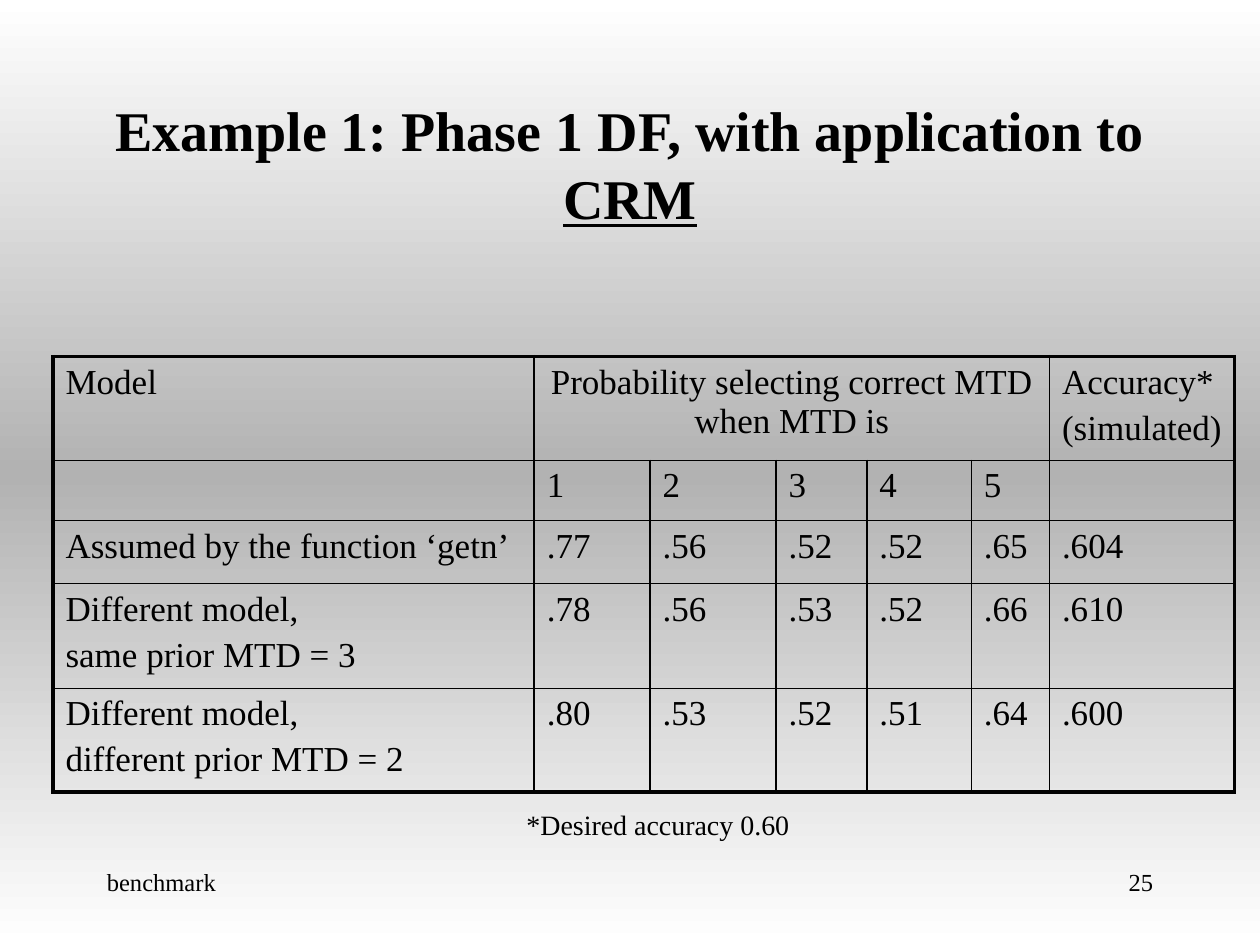
import copy
from lxml import etree
from pptx import Presentation, util as u
from pptx.dml.color import RGBColor
from pptx.enum import text
from pptx.oxml.ns import qn

WIDTH, HEIGHT = 10, 7.5
FONT, BLACK = "Times New Roman", "000000"
LEFT, CENTER, RIGHT = text.PP_ALIGN.LEFT, text.PP_ALIGN.CENTER, text.PP_ALIGN.RIGHT
MIDDLE = text.MSO_ANCHOR.MIDDLE
THIN, THICK = 1, 2.25

COLUMNS = [3.82, 0.92, 1, 0.72, 0.83, 0.62, 1.47]
ROWS = [0.78, 0.48, 0.5, 0.83, 0.77]
CELLS = [
    ["Model", "Probability selecting correct MTD when MTD is", "", "", "", "",
     "Accuracy*\n(simulated)"],
    ["", "1", "2", "3", "4", "5", ""],
    ["Assumed by the function ‘getn’", ".77", ".56", ".52", ".52", ".65", ".604"],
    ["Different model, \nsame prior MTD = 3", ".78", ".56", ".53", ".52", ".66", ".610"],
    ["Different model, \ndifferent prior MTD = 2", ".80", ".53", ".52", ".51", ".64", ".600"],
]


def color(value):
    return RGBColor.from_string(value)


def write(para, words, align=LEFT, **formats):
    para.alignment = align
    span = para.add_run()
    span.text = words
    span.font.color.rgb = color(BLACK)
    for name, value in {"name": FONT, **formats}.items():
        setattr(span.font, name, value)


def text_box(page, box, wrap=True, anchor=text.MSO_ANCHOR.TOP):
    frame = page.shapes.add_textbox(*map(u.Inches, box)).text_frame
    frame.word_wrap = wrap
    frame.vertical_anchor = anchor
    return frame.paragraphs[0]


def background(page, edge, middle):
    fill = page.background.fill
    fill.gradient()
    fill.gradient_angle = 270
    stops = page.element.find(".//" + qn("a:gsLst"))
    stops.insert(1, copy.deepcopy(stops[0]))
    for stop, place, shade in zip(fill.gradient_stops, (0, 0.5, 1), (edge, middle, edge)):
        stop.position = place
        stop.color.rgb = color(shade)


def borders(cell, widths):
    props = cell._tc.get_or_add_tcPr()
    for side, width in widths.items():
        line = etree.SubElement(props, qn("a:ln" + side), w=str(u.Pt(width)))
        fill = etree.SubElement(line, qn("a:solidFill"))
        etree.SubElement(fill, qn("a:srgbClr"), val=BLACK)


def title(page, box):
    para = text_box(page, box, anchor=MIDDLE)
    style = {"size": u.Pt(32), "bold": True}
    write(para, "Example 1: Phase 1 DF, with application to ", CENTER, **style)
    write(para, "CRM", CENTER, underline=True, **style)


def accuracy_table(page, left, top):
    last_row, last_column = len(ROWS) - 1, len(COLUMNS) - 1
    size = map(u.Inches, (left, top, sum(COLUMNS), sum(ROWS)))
    table = page.shapes.add_table(len(ROWS), len(COLUMNS), *size).table
    table.first_row = table.horz_banding = False
    for column, width in zip(table.columns, COLUMNS):
        column.width = u.Inches(width)
    for row, height in zip(table.rows, ROWS):
        row.height = u.Inches(height)
    table.cell(0, 1).merge(table.cell(0, last_column - 1))

    for r, row in enumerate(CELLS):
        for c, words in enumerate(row):
            cell = table.cell(r, c)
            # Thick outer frame, thin inner rules
            outer = {"L": c == 0, "R": c == last_column, "T": r == 0, "B": r == last_row}
            borders(cell, {side: THICK if edge else THIN for side, edge in outer.items()})
            cell.fill.background()
            if not words:
                continue
            for i, line in enumerate(words.split("\n")):
                frame = cell.text_frame
                para = frame.add_paragraph() if i else frame.paragraphs[0]
                para.space_before = u.Pt(4)
                align = CENTER if cell.is_merge_origin else LEFT
                write(para, line, align, size=u.Pt(20))


def footer(page, box, label, number):
    left, top, width, height = box
    part = width * 0.245
    for words, x, align in ((label, left, LEFT), (number, left + width - part, RIGHT)):
        write(text_box(page, (x, top, part, height)), words, align, size=u.Pt(14))


deck = Presentation()
deck.slide_width, deck.slide_height = u.Inches(WIDTH), u.Inches(HEIGHT)
page = deck.slides.add_slide(deck.slide_layouts[6])
margin = WIDTH * 0.075
content = WIDTH - 2 * margin

background(page, "FFFFFF", "B2B2B2")
footer(page, (margin, 6.83, content, 0.5), "benchmark", "25")
accuracy_table(page, 0.42, 2.83)
title(page, (margin, 0.67, content, HEIGHT / 6))
# Note under the table
write(text_box(page, (4.08, 6.36, 2.32, 0.37), wrap=False),
      "*Desired accuracy 0.60", size=u.Pt(16))

deck.save("out.pptx")
